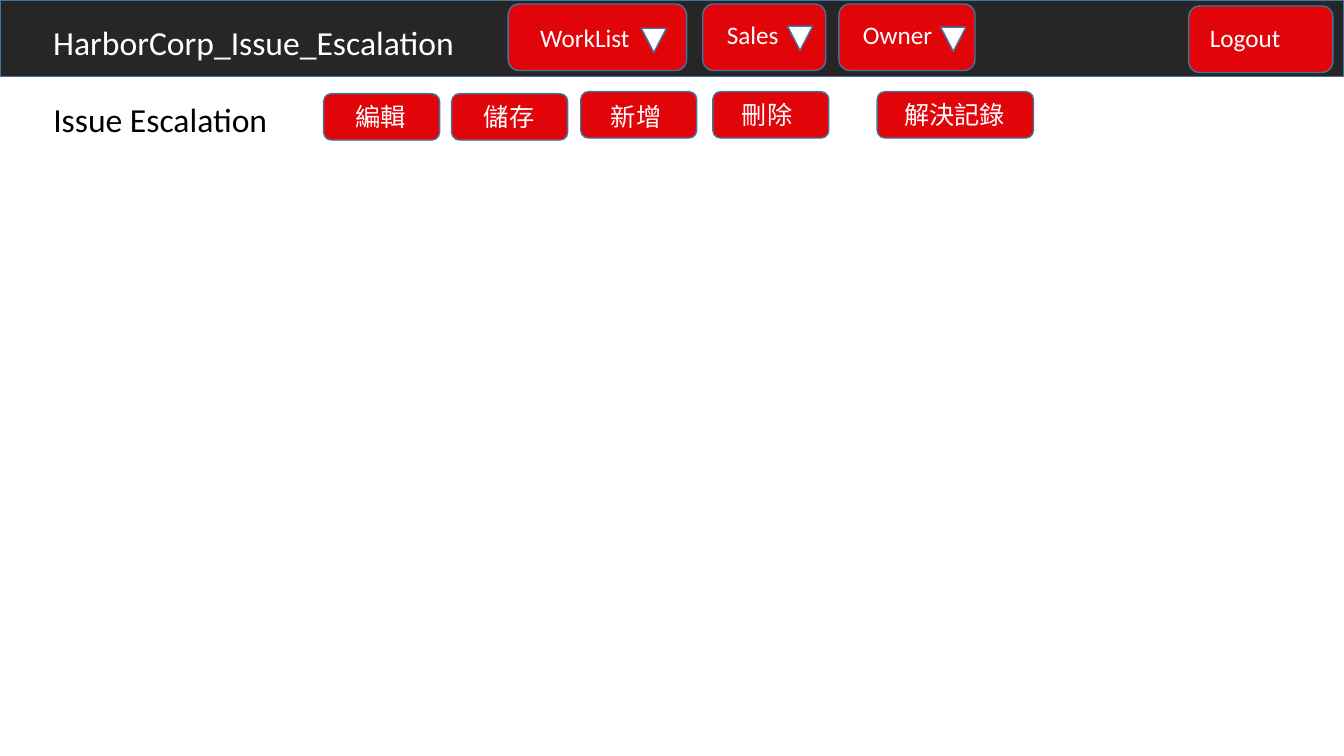
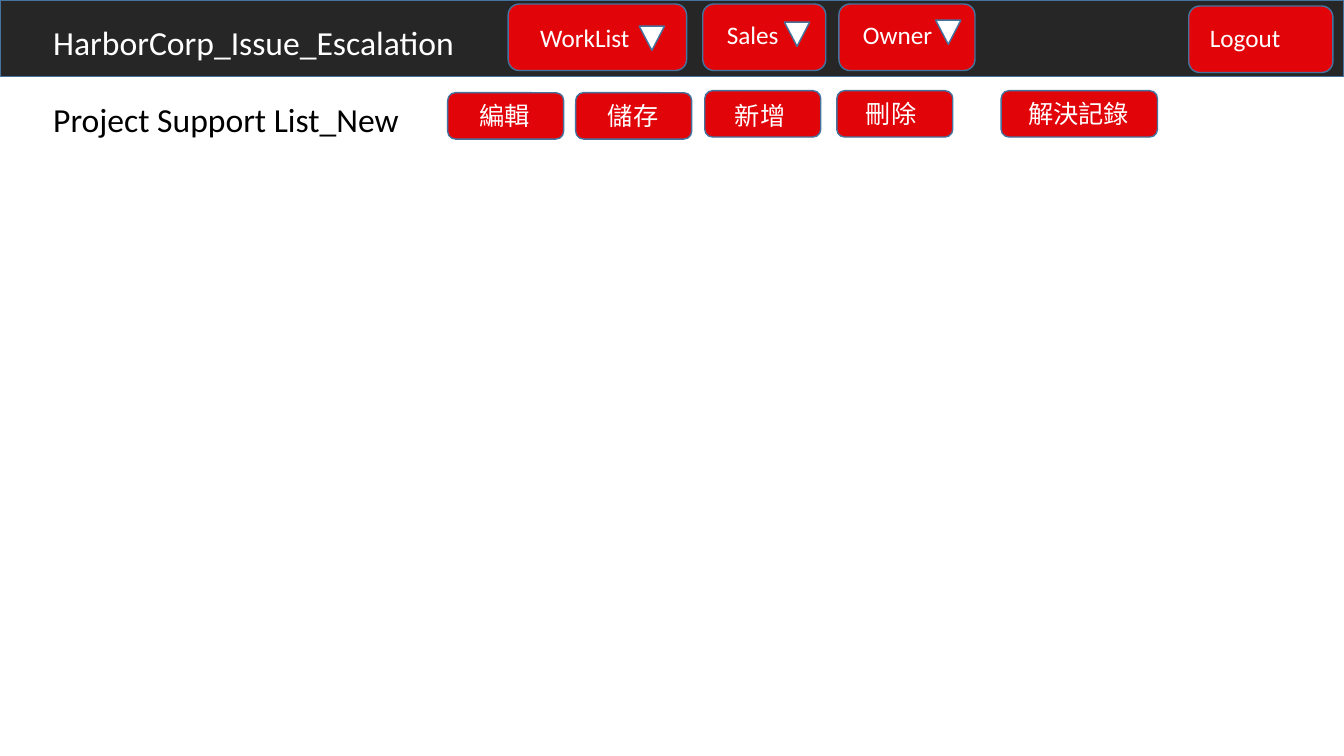
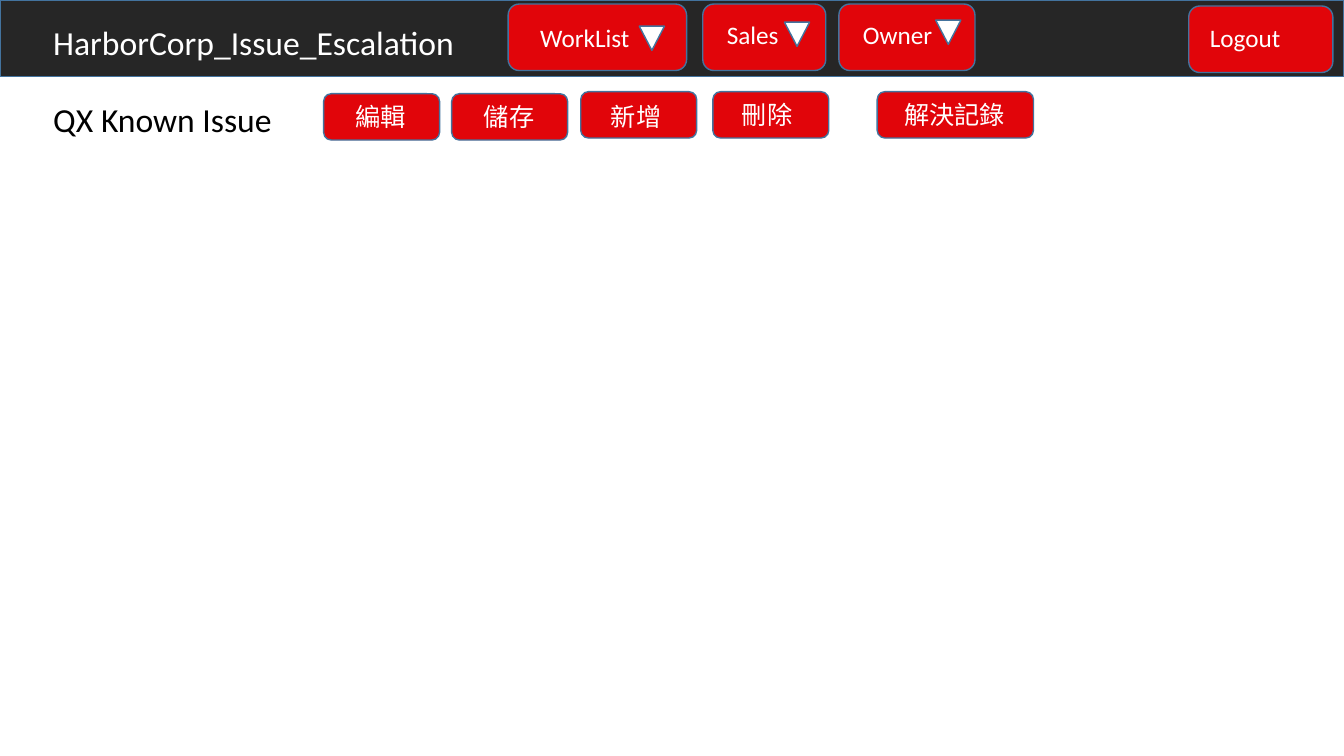
import pptx
import pptx.dml.color
import pptx.enum.shapes
import pptx.enum.text
import pptx.util

Inches = pptx.util.Inches
SHAPES = pptx.enum.shapes.MSO_SHAPE

FONT = "Calibri"
BAND, BUTTON, OUTLINE, WHITE, BLACK = "262626", "E1050A", "43739E", "FFFFFF", "000000"
MARGIN = 0.43
BAND_HEIGHT = 0.76
MENU_HEIGHT = 0.66
TOOL_HEIGHT = 0.46
LABEL_HEIGHT = 0.4
TITLE_HEIGHT = 0.5
ARROW_SIZE = (0.25, 0.24)

SITE_NAME = "HarborCorp_Issue_Escalation"
SITE_NAME_WIDTH = 4.5

# label, button (left, top, width), label box (left, top, width)
MENU = [
    ("WorkList", (5.04, 0.04, 1.77), (5.26, 0.17, 1.34)),
    ("Sales", (6.97, 0.04, 1.22), (7.11, 0.14, 1.21)),
    ("Logout", (11.79, 0.06, 1.43), (11.9, 0.17, 1.21)),
    ("Owner", (8.32, 0.04, 1.35), (8.46, 0.14, 1.21)),
]

# label, button offset from the toolbar origin, button width,
# label offset from its button, label width
TOOLS = [
    ("編輯", (0, 0), 1.15, (0.22, 0.03), 0.75),
    ("儲存", (1.27, 0), 1.15, (0.22, 0.03), 0.75),
    ("新增", (2.55, -0.02), 1.15, (0.2, 0.05), 0.75),
    ("刪除", (3.86, -0.02), 1.15, (0.19, 0.03), 0.75),
    ("解決記錄", (5.49, -0.02), 1.55, (0.17, 0.03), 1.2),
]

ARROWS_LOW = [(6.36, 0.28), (7.81, 0.26), (9.33, 0.27)]
ARROWS_HIGH = [(6.34, 0.26), (7.78, 0.22), (9.28, 0.2)]

PAGES = [
    {"title": "Issue Escalation", "title_width": 2.35,
     "toolbar": (3.21, 0.93), "arrows": ARROWS_LOW},
    {"title": "Project Support List_New", "title_width": 3.66,
     "toolbar": (4.44, 0.92), "arrows": ARROWS_HIGH},
    {"title": "QX Known Issue", "title_width": 2.6,
     "toolbar": (3.21, 0.93), "arrows": ARROWS_HIGH},
]


def rgb(value):
    return pptx.dml.color.RGBColor.from_string(value)


def add_box(slide, preset, left, top, width, height, fill):
    box = slide.shapes.add_shape(
        preset, Inches(left), Inches(top), Inches(width), Inches(height))
    box.shadow.inherit = False
    box.fill.solid()
    box.fill.fore_color.rgb = rgb(fill)
    box.line.color.rgb = rgb(OUTLINE)
    box.line.width = pptx.util.Pt(1)
    return box


def add_text(slide, text, left, top, width, height=LABEL_HEIGHT,
             size=18, color=WHITE, wrap=True):
    label = slide.shapes.add_textbox(
        Inches(left), Inches(top), Inches(width), Inches(height))
    frame = label.text_frame
    frame.word_wrap = wrap
    frame.auto_size = pptx.enum.text.MSO_AUTO_SIZE.SHAPE_TO_FIT_TEXT
    run = frame.paragraphs[0].add_run()
    run.text = text
    run.font.name = FONT
    run.font.size = pptx.util.Pt(size)
    run.font.color.rgb = rgb(color)


def add_header(slide, page_width, arrows):
    add_box(slide, SHAPES.RECTANGLE, 0, 0, page_width, BAND_HEIGHT, BAND)
    add_text(slide, SITE_NAME, MARGIN, 0.17, SITE_NAME_WIDTH, TITLE_HEIGHT, size=24)
    for label, button, label_box in MENU:
        add_box(slide, SHAPES.ROUNDED_RECTANGLE, *button, MENU_HEIGHT, BUTTON)
        add_text(slide, label, *label_box)
    for left, top in arrows:
        arrow = add_box(slide, SHAPES.ISOSCELES_TRIANGLE, left, top, *ARROW_SIZE, WHITE)
        arrow.rotation = 180


def add_toolbar(slide, origin_left, origin_top):
    for label, (dx, dy), width, (label_dx, label_dy), label_width in TOOLS:
        left, top = origin_left + dx, origin_top + dy
        add_box(slide, SHAPES.ROUNDED_RECTANGLE, left, top, width, TOOL_HEIGHT, BUTTON)
        add_text(slide, label, left + label_dx, top + label_dy, label_width)


def main():
    deck = pptx.Presentation()
    deck.slide_width, deck.slide_height = Inches(13.33), Inches(7.5)
    for page in PAGES:
        slide = deck.slides.add_slide(deck.slide_layouts[6])
        add_header(slide, 13.33, page["arrows"])
        add_text(slide, page["title"], MARGIN, 0.93, page["title_width"],
                 TITLE_HEIGHT, size=24, color=BLACK, wrap=False)
        add_toolbar(slide, *page["toolbar"])
    deck.save("out.pptx")


if __name__ == "__main__":
    main()
